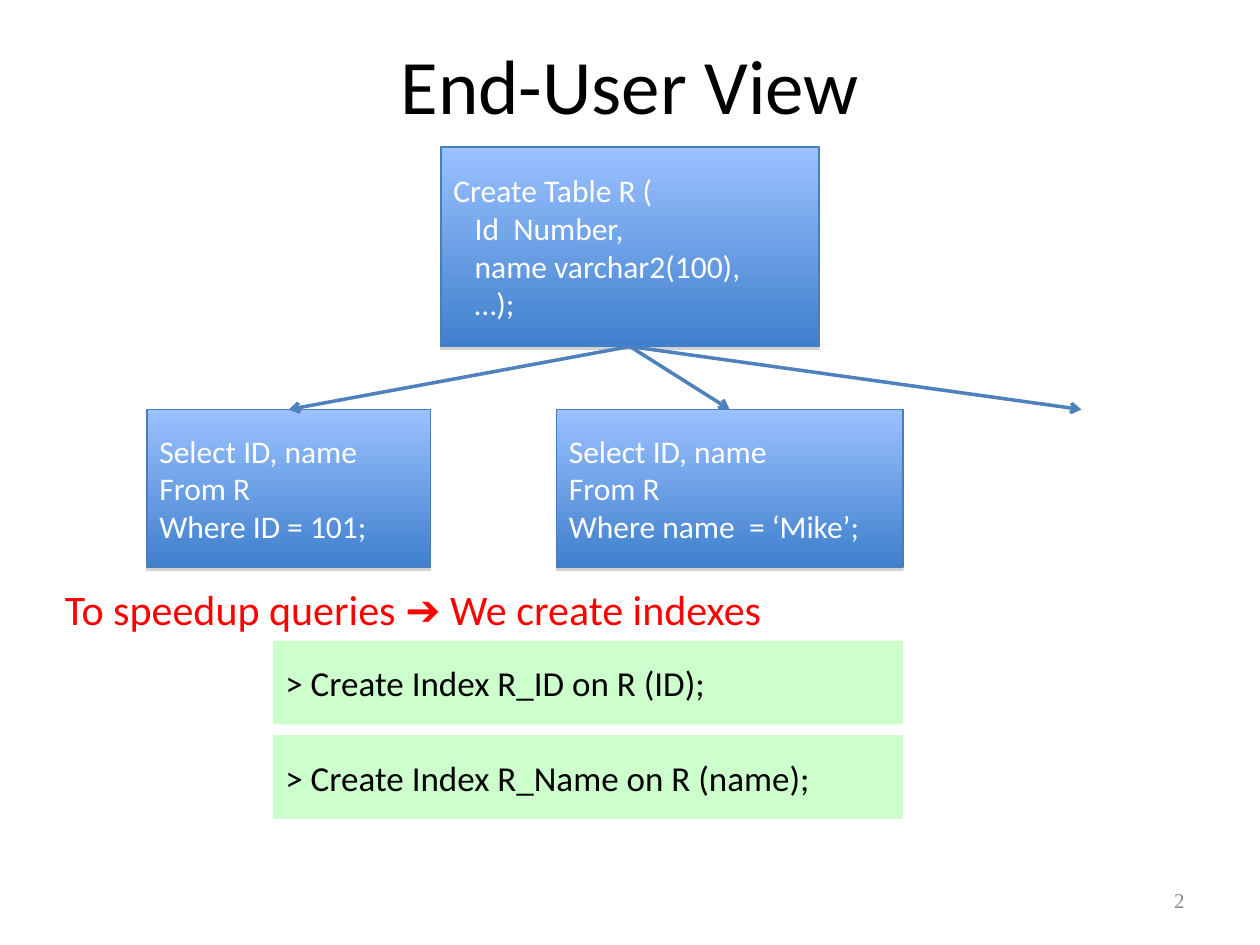
from lxml import etree
from pptx import Presentation
from pptx.dml.color import RGBColor
from pptx.enum.shapes import MSO_CONNECTOR, MSO_SHAPE
from pptx.enum.text import MSO_ANCHOR, PP_ALIGN
from pptx.oxml.ns import qn
from pptx.util import Emu, Pt

RECT, STRAIGHT = MSO_SHAPE.RECTANGLE, MSO_CONNECTOR.STRAIGHT
LEFT, CENTER, RIGHT = PP_ALIGN.LEFT, PP_ALIGN.CENTER, PP_ALIGN.RIGHT
TOP, MIDDLE = MSO_ANCHOR.TOP, MSO_ANCHOR.MIDDLE
PX = 9525  # 96 px to the inch


def px(*values):
    return [Emu(v * PX) for v in values]


def rgb(value):
    return RGBColor.from_string(value)


def write(sp, lines, size=18, color="000000", font="Calibri", align=LEFT, anchor=MIDDLE):
    """Fill a shape; a line is a string or a list of (text, font) runs."""
    tf = sp.text_frame
    tf.word_wrap = True
    tf.vertical_anchor = anchor
    for i, line in enumerate(lines):
        p = tf.add_paragraph() if i else tf.paragraphs[0]
        p.alignment = align
        for text, name in [(line, font)] if isinstance(line, str) else line:
            r = p.add_run()
            r.text = text
            r.font.name = name
            r.font.size = Pt(size)
            r.font.color.rgb = rgb(color)


class Deck:
    gradient = ("9BC1FF", "3F80CD")
    border, arrow_color, command_fill = "4A7EBB", "4F81BD", "CCFFCC"

    def __init__(self, width, height):
        self.prs = Presentation()
        self.prs.slide_width, self.prs.slide_height = px(width, height)
        self.slide = self.prs.slides.add_slide(self.prs.slide_layouts[6])

    def text(self, box, lines, **fmt):
        write(self.slide.shapes.add_textbox(*px(*box)), lines, **fmt)

    def rect(self, box):
        sp = self.slide.shapes.add_shape(RECT, *px(*box))
        sp.shadow.inherit = False
        return sp

    def sql_box(self, box, lines):
        sp = self.rect(box)
        sp.fill.gradient()
        sp.fill.gradient_angle = 270
        for stop, color in zip(sp.fill.gradient_stops, self.gradient):
            stop.color.rgb = rgb(color)
        sp.line.color.rgb = rgb(self.border)
        sp.line.width = Pt(0.75)
        # Soft grey shadow just below the box
        effects = sp._element.spPr.find(qn("a:effectLst"))
        shadow = etree.SubElement(effects, qn("a:outerShdw"), blurRad="0",
                                  dist="22860", dir="5400000", rotWithShape="0")
        grey = etree.SubElement(shadow, qn("a:srgbClr"), val="808080")
        etree.SubElement(grey, qn("a:alpha"), val="35000")
        write(sp, lines, color="FFFFFF")

    def command(self, box, line):
        sp = self.rect(box)
        sp.fill.solid()
        sp.fill.fore_color.rgb = rgb(self.command_fill)
        sp.line.fill.background()
        write(sp, [line], size=20)

    def arrow(self, start, end):
        cx = self.slide.shapes.add_connector(STRAIGHT, *px(*start, *end))
        cx.line.color.rgb = rgb(self.arrow_color)
        cx.line.width = Pt(2)
        etree.SubElement(cx.line._get_or_add_ln(), qn("a:tailEnd"), type="arrow")
        etree.SubElement(cx._element.spPr, qn("a:effectLst"))


def main():
    deck = Deck(960, 720)

    # Title, message and page number
    deck.text((48, 16, 864, 96), ["End-User View"], size=44, align=CENTER)
    deck.text((40, 440, 864, 56),
              [[("To speedup queries ", "Calibri"), ("➔", "Arial"),
                (" We create indexes", "Calibri")]],
              size=24, color="FF0000", anchor=TOP)
    deck.text((688, 667, 224, 38), ["2"], size=12, color="898989",
              font="Times New Roman", align=RIGHT)

    # Table definition and the queries on it
    deck.sql_box((336, 112, 288, 152), ["Create Table R (", "   Id  Number,",
                                        "   name varchar2(100),", "   …);"])
    queries = [(112, 216, "Where ID = 101;"), (424, 264, "Where name  = ‘Mike’;")]
    for left, width, condition in queries:
        deck.sql_box((left, 312, width, 120), ["Select ID, name", "From R", condition])

    # Arrows from the table to the queries
    for x in (220, 556, 824):
        deck.arrow((480, 264), (x, 312))

    # Index commands
    commands = ["> Create Index R_ID on R (ID);", "> Create Index R_Name on R (name);"]
    for i, line in enumerate(commands):
        deck.command((208, 488 + 72 * i, 480, 64), line)

    deck.prs.save("out.pptx")


if __name__ == "__main__":
    main()
